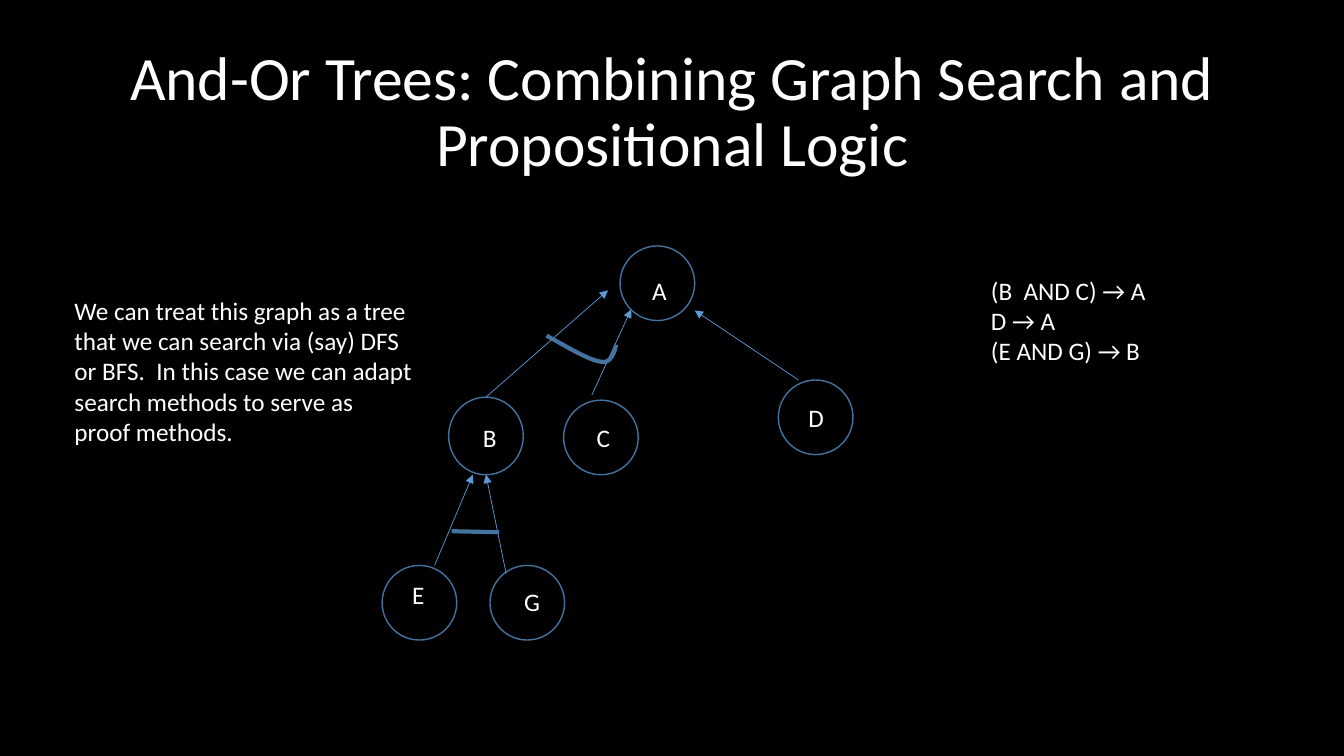
from typing import NamedTuple

from lxml.etree import SubElement
from pptx import Presentation
from pptx.dml.color import RGBColor
from pptx.enum.shapes import MSO_CONNECTOR, MSO_SHAPE
from pptx.enum.text import MSO_ANCHOR, PP_ALIGN
from pptx.oxml.ns import qn
from pptx.util import Inches, Pt

COLORS = {"background": "000000", "text": "FFFFFF", "outline": "43739E", "arrow": "5B9BD5"}
FONT = "Calibri"
DIAMETER = 0.74
CURVE_STEPS = 16

Point = tuple[float, float]


class Node(NamedTuple):
    name: str
    left: float
    top: float
    label_left: float
    label_top: float
    height: float = DIAMETER


class Edge(NamedTuple):
    start: Point
    end: Point


NODES = [
    Node("A", 6.15, 2.44, 6.37, 2.68),
    Node("B", 4.45, 3.94, 4.69, 4.14, 0.77),
    Node("C", 5.59, 3.97, 5.82, 4.14),
    Node("D", 7.72, 3.77, 7.92, 3.94),
    Node("E", 3.79, 5.61, 3.99, 5.7),
    Node("G", 4.86, 5.61, 5.1, 5.77),
]
EDGES = [
    Edge((7.92, 3.77), (6.89, 3.08)),
    Edge((4.82, 3.94), (6.03, 2.88)),
    Edge((5.87, 3.92), (6.26, 3.07)),
    Edge((4.31, 5.61), (4.69, 4.71)),
    Edge((5.02, 5.69), (4.82, 4.71)),
]
# Bezier pieces of the AND mark under A, each with four control points
AND_CURVE = [
    [(5.42, 3.33), (5.64, 3.45), (5.85, 3.58), (5.97, 3.59)],
    [(5.97, 3.59), (6.08, 3.61), (6.11, 3.42), (6.11, 3.42)],
]
AND_BAR = [(4.48, 5.27), (4.95, 5.28)]
RULES = ["(B  AND C) → A", "D → A", "(E AND G) → B"]
EXPLANATION = [
    "We can treat this graph as a tree",
    "that we can search via (say) DFS",
    "or BFS.  In this case we can adapt",
    "search methods to serve as",
    "proof methods.",
]


def color(name: str) -> RGBColor:
    return RGBColor.from_string(COLORS[name])


def add_text(page, lines: list[str], left: float, top: float, width: float, height: float, *,
             size: float = 18, wrap: bool = False, align=PP_ALIGN.LEFT,
             anchor=MSO_ANCHOR.TOP, spacing: float = 1.0) -> None:
    box = page.shapes.add_textbox(Inches(left), Inches(top), Inches(width), Inches(height))
    frame = box.text_frame
    frame.word_wrap = wrap
    frame.vertical_anchor = anchor
    for index, line in enumerate(lines):
        para = frame.add_paragraph() if index else frame.paragraphs[0]
        para.alignment = align
        para.line_spacing = spacing
        span = para.add_run()
        span.text = line
        span.font.name = FONT
        span.font.size = Pt(size)
        span.font.color.rgb = color("text")


def outline(shape, width: float) -> None:
    shape.shadow.inherit = False
    shape.fill.background()
    shape.line.color.rgb = color("outline")
    shape.line.width = Pt(width)


def add_circle(page, node: Node) -> None:
    circle = page.shapes.add_shape(MSO_SHAPE.OVAL, Inches(node.left), Inches(node.top),
                                   Inches(DIAMETER), Inches(node.height))
    outline(circle, 1)


def add_arrow(page, edge: Edge) -> None:
    ends = [Inches(value) for value in edge.start + edge.end]
    arrow = page.shapes.add_connector(MSO_CONNECTOR.STRAIGHT, *ends)
    arrow.line.color.rgb = color("arrow")
    arrow.line.width = Pt(0.5)
    SubElement(arrow.line._get_or_add_ln(), qn("a:tailEnd"), type="triangle")
    SubElement(arrow._element.spPr, qn("a:effectLst"))


def bezier(controls: list[Point], t: float) -> Point:
    weights = ((1 - t) ** 3, 3 * t * (1 - t) ** 2, 3 * t * t * (1 - t), t ** 3)
    x, y = (sum(w * value for w, value in zip(weights, axis)) for axis in zip(*controls))
    return x, y


def add_and_mark(page, points: list[Point]) -> None:
    places = [(Inches(x), Inches(y)) for x, y in points]
    builder = page.shapes.build_freeform(*places[0])
    builder.add_line_segments(places[1:], close=False)
    outline(builder.convert_to_shape(), 3)


deck = Presentation()
deck.slide_width, deck.slide_height = Inches(13.33), Inches(7.5)
page = deck.slides.add_slide(deck.slide_layouts[6])
page.background.fill.solid()
page.background.fill.fore_color.rgb = color("background")

# Title
add_text(page, ["And-Or Trees: Combining Graph Search and Propositional Logic"],
         0.92, 0.4, 11.5, 1.45, size=44, wrap=True, align=PP_ALIGN.CENTER,
         anchor=MSO_ANCHOR.MIDDLE, spacing=0.9)

# Tree nodes and their labels
for node in NODES:
    add_circle(page, node)
    add_text(page, [node.name], node.label_left, node.label_top, 0.35, 0.4)

# Edges and AND marks
for edge in EDGES:
    add_arrow(page, edge)
curve = [bezier(piece, step / CURVE_STEPS)
         for piece in AND_CURVE for step in range(CURVE_STEPS + 1)]
for points in (curve, AND_BAR):
    add_and_mark(page, points)

# Rules and explanation
add_text(page, RULES, 9.73, 2.68, 2.68, 1.01, wrap=True)
add_text(page, EXPLANATION, 0.64, 2.88, 3.59, 1.62)

deck.save("out.pptx")
